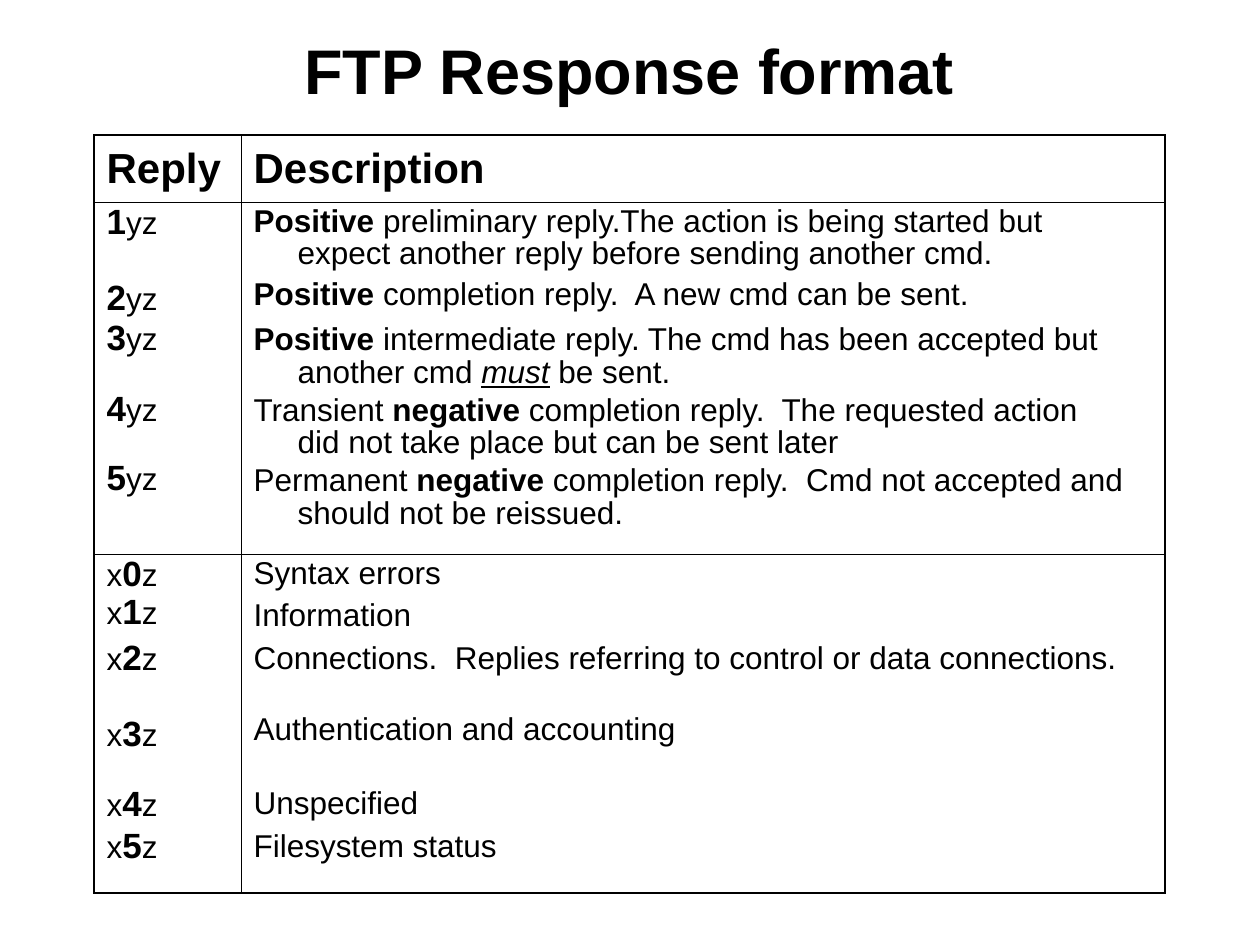
from pptx import Presentation
from pptx.dml.color import RGBColor
from pptx.enum.text import MSO_ANCHOR as Anchor, PP_ALIGN as Align
from pptx.oxml.ns import qn
from pptx.util import Emu, Pt
from lxml.etree import SubElement

BLACK = RGBColor(0x00, 0x00, 0x00)
EMU_PER_PX = 914400 / 126
INDENT = 44

REPLY_CODES = [
    ("*1*yz", 0.85, 0),
    ("*2*yz", 1.75, 4.5),
    ("*3*yz", 0.8, 4.5),
    ("*4*yz", 1.65, 4.5),
    ("*5*yz", 1.55, 4.5),
]
REPLY_MEANINGS = [
    ("*Positive* preliminary reply.The action is being started but", 0.85, 0),
    ("expect another reply before sending another cmd.", 0.65, 4.5, INDENT),
    ("*Positive* completion reply.  A new cmd can be sent.", 1, 4.5),
    ("*Positive* intermediate reply. The cmd has been accepted but", 1.05, 4.5),
    ("another cmd _must_ be sent.", 0.65, 4.5, INDENT),
    ("Transient *negative* completion reply.  The requested action", 0.9, 4.5),
    ("did not take place but can be sent later", 0.65, 4.5, INDENT),
    ("Permanent *negative* completion reply.  Cmd not accepted and", 0.9, 4.5),
    ("should not be reissued.", 0.65, 4.5, INDENT),
]
CATEGORY_CODES = [
    ("x*0*z", 0.85, 0),
    ("x*1*z", 0.75, 4.5),
    ("x*2*z", 1, 4.5),
    ("x*3*z", 1.75, 4.5),
    ("x*4*z", 1.6, 4.5),
    ("x*5*z", 0.85, 4.5),
]
CATEGORY_MEANINGS = [
    ("Syntax errors", 0.85, 0),
    ("Information", 1, 4.5),
    ("Connections.  Replies referring to control or data connections.", 1, 4.5),
    ("Authentication and accounting", 1, 20.5),
    ("Unspecified", 1, 22),
    ("Filesystem status", 1, 4.5),
]


def px(length):
    return Emu(round(length * EMU_PER_PX))


class SlideWriter:
    font_name = "Arial"
    body_size = 18
    code_size = 20
    header_size = 24
    title_size = 36
    outer_line = 1.08
    inner_line = 0.45

    def __init__(self, slide):
        self.slide = slide

    def style(self, paragraph, size, bold=None):
        font = paragraph.font
        font.name, font.size, font.bold = self.font_name, Pt(size), bold
        font.color.rgb = BLACK

    def title(self, text, left, top, width, height):
        frame = self.slide.shapes.add_textbox(
            px(left), px(top), px(width), px(height)).text_frame
        frame.word_wrap = True
        frame.vertical_anchor = Anchor.MIDDLE
        heading = frame.paragraphs[0]
        heading.text = text
        heading.alignment = Align.CENTER
        self.style(heading, self.title_size, True)

    def table(self, left, top, widths, heights):
        table = self.slide.shapes.add_table(
            len(heights), len(widths), px(left), px(top),
            px(sum(widths)), px(sum(heights))).table
        table.first_row = table.horz_banding = False
        for column, width in zip(table.columns, widths):
            column.width = px(width)
        for row, height in zip(table.rows, heights):
            row.height = px(height)
        for r in range(len(heights)):
            for c in range(len(widths)):
                self.borders(table.cell(r, c), {
                    "a:lnL": c == 0,
                    "a:lnR": c == len(widths) - 1,
                    "a:lnT": r == 0,
                    "a:lnB": r == len(heights) - 1,
                })
        return table

    def borders(self, cell, sides):
        properties = cell._tc.get_or_add_tcPr()
        for tag, is_outer in sides.items():
            width = self.outer_line if is_outer else self.inner_line
            line = SubElement(properties, qn(tag), w=str(Pt(width)))
            fill = SubElement(line, qn("a:solidFill"))
            SubElement(fill, qn("a:srgbClr"), val=str(BLACK))
        cell.fill.background()

    def header(self, cell, text):
        cell.vertical_anchor = Anchor.MIDDLE
        label = cell.text_frame.paragraphs[0]
        label.text = text
        self.style(label, self.header_size, True)

    def entries(self, cell, lines, strong_size):
        frame = cell.text_frame
        for number, (text, spacing, before, *indent) in enumerate(lines):
            entry = frame.add_paragraph() if number else frame.paragraphs[0]
            entry.line_spacing = spacing
            entry.space_before = Pt(before)
            if indent:
                properties = entry._p.get_or_add_pPr()
                properties.set("marL", str(px(indent[0])))
                properties.set("indent", "0")
            self.style(entry, self.body_size)
            self.marked_runs(entry, text, strong_size)

    def marked_runs(self, entry, text, strong_size):
        for part, chunk in enumerate(text.split("*")):
            for piece, words in enumerate(chunk.split("_")):
                if not words:
                    continue
                run = entry.add_run()
                run.text = words
                if part % 2:
                    run.font.bold = True
                    run.font.size = Pt(strong_size)
                if piece % 2:
                    run.font.italic = run.font.underline = True


def main():
    deck = Presentation()
    deck.slide_width, deck.slide_height = px(1260), px(945)
    writer = SlideWriter(deck.slides.add_slide(deck.slide_layouts[6]))
    writer.title("FTP Response format", 94, -10, 1071, 158)
    replies = writer.table(94, 135, [147, 924], [67, 352, 339])
    for column, name in enumerate(["Reply", "Description"]):
        writer.header(replies.cell(0, column), name)
    sections = [(REPLY_CODES, REPLY_MEANINGS), (CATEGORY_CODES, CATEGORY_MEANINGS)]
    for row, (codes, meanings) in enumerate(sections, start=1):
        writer.entries(replies.cell(row, 0), codes, writer.code_size)
        writer.entries(replies.cell(row, 1), meanings, writer.body_size)
    deck.save("out.pptx")


if __name__ == "__main__":
    main()
